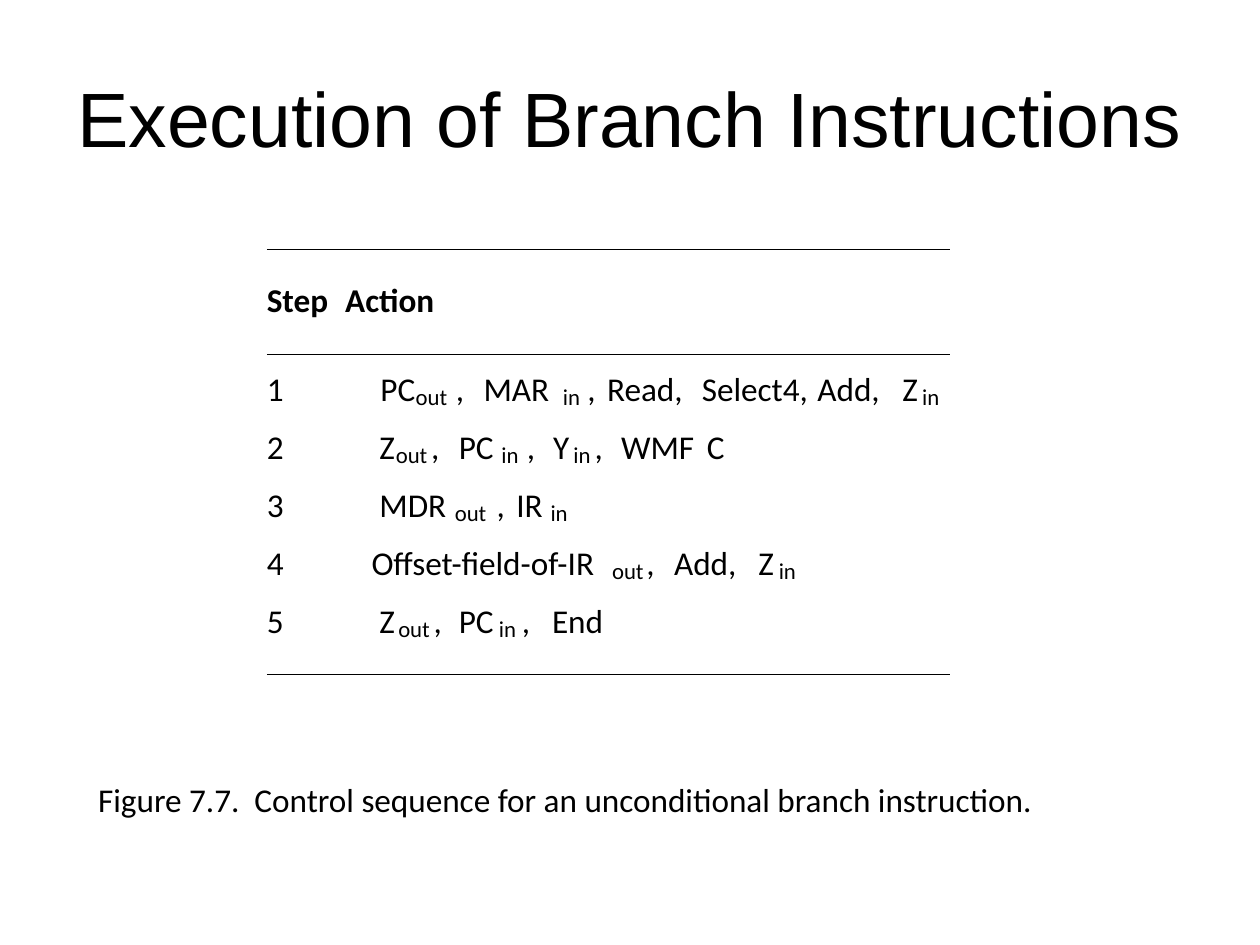
from lxml import etree
from pptx import Presentation
from pptx import util as u
from pptx.dml.color import RGBColor
from pptx.enum import shapes, text
from pptx.oxml.ns import qn

BLACK = "000000"
TABLE_LEFT, TABLE_RIGHT = 5.38, 19.15
RULE_TOPS = (5.03, 7.14, 13.59)
HEADER_TOP = 5.64
FIRST_ROW_TOP, ROW_PITCH = 7.42, 1.17
SUBSCRIPT_DROP = 0.3
SUBSCRIPTS = ("in", "out")

WIDTHS = {
    "Step": 1.47, "Action": 2.16, "PC": 0.84, "MAR": 1.45, "MDR": 1.52,
    "IR": 0.64, "WMF": 1.57, "C": 0.43, "Read,": 1.75, "Select4,": 2.41,
    "Add,": 1.42, "End": 1.19, "Offset-field-of-IR": 5.21,
    "in": 0.41, "out": 0.74, ",": 0.18,
}
SINGLE_WIDTH = 0.38

# Each step is a list of (left, wording) pieces.
STEPS = [
    [(7.67, "PC"), (8.38, "out"), (9.19, ","), (9.75, "MAR"), (11.35, "in"),
     (11.84, ","), (12.24, "Read,"), (14.15, "Select4,"), (16.48, "Add,"),
     (18.19, "Z"), (18.59, "in")],
    [(7.65, "Z"), (7.98, "out"), (8.69, ","), (9.25, "PC"), (10.11, "in"),
     (10.62, ","), (11.15, "Y"), (11.56, "in"), (11.99, ","),
     (12.52, "WMF"), (14.25, "C")],
    [(7.65, "MDR"), (9.17, "out"), (10.01, ","), (10.41, "IR"), (11.1, "in")],
    [(7.49, "Offset-field-of-IR"), (12.34, "out"), (13.03, ","),
     (13.59, "Add,"), (15.29, "Z"), (15.7, "in")],
    [(7.65, "Z"), (8.03, "out"), (8.74, ","), (9.25, "PC"), (10.06, "in"),
     (10.52, ","), (11.13, "End")],
]


def color(value):
    return RGBColor.from_string(value)


def style(paragraph, name, size, bold=False):
    font = paragraph.font
    font.name, font.size, font.bold = name, u.Pt(size), bold
    font.color.rgb = color(BLACK)


def add_title(page, wording):
    title = page.shapes.title
    title.left, title.top = u.Cm(1.27), u.Cm(0.76)
    title.width, title.height = u.Cm(22.86), u.Cm(3.18)
    frame = title.text_frame
    frame.text = wording
    frame.vertical_anchor = text.MSO_ANCHOR.MIDDLE
    paragraph = frame.paragraphs[0]
    paragraph.alignment = text.PP_ALIGN.CENTER
    style(paragraph, "Arial", 44)


def add_label(page, left, top, width, wording, size=19, bold=False):
    height = 0.82 if size == 19 else 0.56
    box = page.shapes.add_textbox(u.Cm(left), u.Cm(top), u.Cm(width), u.Cm(height))
    frame = box.text_frame
    frame.margin_left = frame.margin_right = 0
    frame.margin_top = frame.margin_bottom = 0
    frame.word_wrap = False
    frame.auto_size = text.MSO_AUTO_SIZE.SHAPE_TO_FIT_TEXT
    frame.text = wording
    style(frame.paragraphs[0], "Calibri", size, bold)


def add_rule(page, top):
    rule = page.shapes.add_connector(
        shapes.MSO_CONNECTOR.STRAIGHT,
        u.Cm(TABLE_LEFT), u.Cm(top), u.Cm(TABLE_RIGHT), u.Cm(top))
    rule.line.color.rgb = color(BLACK)
    rule.line.width = u.Pt(0.5)
    etree.SubElement(rule._element.spPr, qn("a:effectLst"))


def add_step(page, number, pieces):
    top = FIRST_ROW_TOP + (number - 1) * ROW_PITCH
    add_label(page, TABLE_LEFT, top, SINGLE_WIDTH, str(number))
    for left, wording in pieces:
        width = WIDTHS.get(wording, SINGLE_WIDTH)
        if wording in SUBSCRIPTS:
            add_label(page, left, top + SUBSCRIPT_DROP, width, wording, size=13)
        else:
            add_label(page, left, top, width, wording)


def main():
    deck = Presentation()
    deck.slide_width, deck.slide_height = u.Cm(25.4), u.Cm(19.05)
    page = deck.slides.add_slide(deck.slide_layouts.get_by_name("Title Only"))
    add_title(page, "Execution of Branch Instructions")
    for top in RULE_TOPS:
        add_rule(page, top)
    for left, heading in ((TABLE_LEFT, "Step"), (6.96, "Action")):
        add_label(page, left, HEADER_TOP, WIDTHS[heading], heading, bold=True)
    for number, pieces in enumerate(STEPS, start=1):
        add_step(page, number, pieces)
    add_label(page, 1.98, 15.7, 21.84,
              "Figure 7.7.  Control sequence for an unconditional branch instruction.")
    deck.save("out.pptx")


if __name__ == "__main__":
    main()
